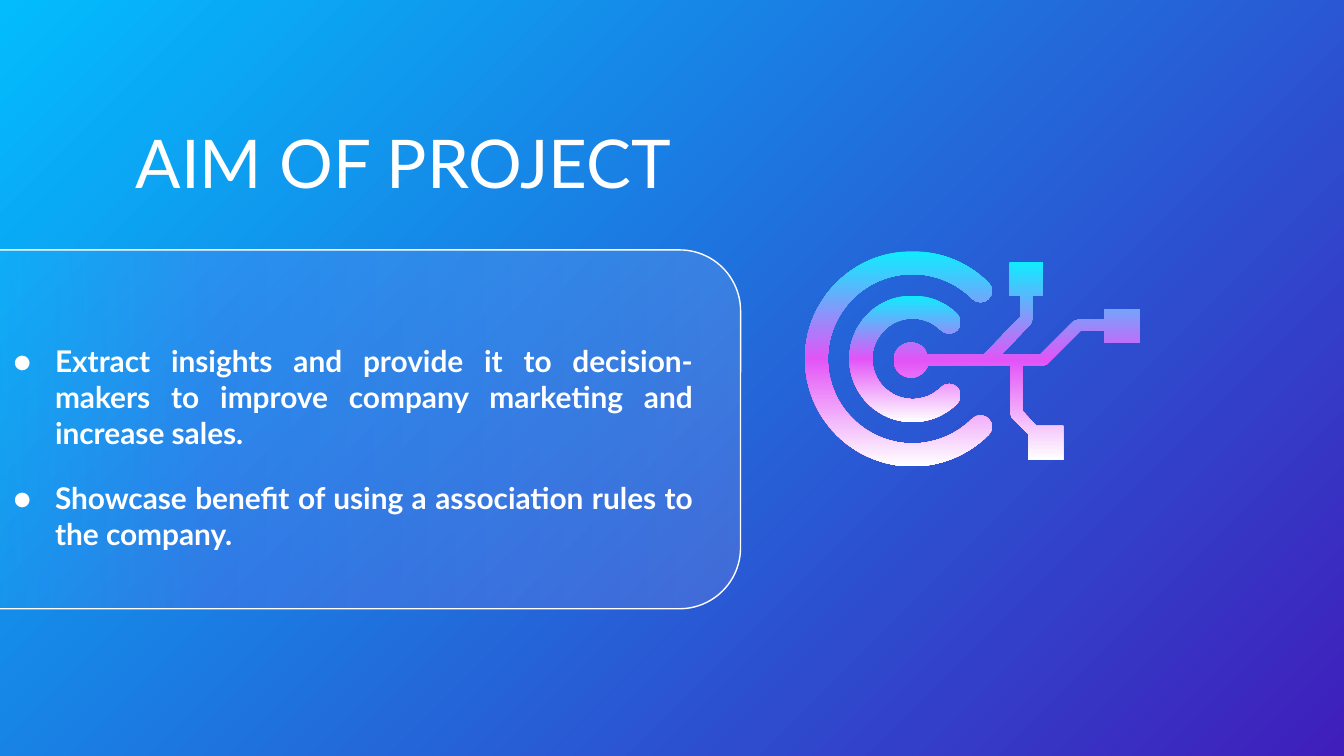
import math
from dataclasses import dataclass

import pptx
import pptx.dml.color
import pptx.enum.shapes
import pptx.enum.text
import pptx.oxml
import pptx.oxml.ns
import pptx.util

PX = 9144  # EMU per px, 100 px to the inch
FONT = "Lato"
COLORS = {"white": "FFFFFF", "pink": "E354F7", "cyan": "10ECFF",
          "indigo": "401EBB", "sky": "02BCFD"}
WHITE = pptx.dml.color.RGBColor.from_string(COLORS["white"])
ICON_STOPS = [(0, "cyan"), (50, "pink"), (100, "white")]

Point = tuple[float, float]
Segment = list[Point]  # one point for a line, three for a curve


@dataclass(frozen=True)
class Ring:
    x: int
    y: int
    outer: int
    inner: int


@dataclass(frozen=True)
class Box:
    left: int
    top: int
    width: int
    height: int

    def emu(self) -> list[int]:
        return [side * PX for side in (self.left, self.top, self.width, self.height)]


def set_all(target, values: dict) -> None:
    for name, value in values.items():
        setattr(target, name, value)


def add_gradient(fill, owner, stops, angle: int, alpha: int = 100) -> None:
    """Give the fill any number of stops, with the angle running clockwise."""
    fill.gradient()
    fill.gradient_angle = 360 - angle
    stop_list = owner.find(".//" + pptx.oxml.ns.qn("a:gsLst"))
    for old_stop in list(stop_list):
        stop_list.remove(old_stop)
    for position, color in stops:
        stop_list.append(pptx.oxml.parse_xml(
            f'<a:gs {pptx.oxml.ns.nsdecls("a")} pos="{position * 1000}">'
            f'<a:srgbClr val="{COLORS[color]}"><a:alpha val="{alpha * 1000}"/>'
            f'</a:srgbClr></a:gs>'))


def arc(x: float, y: float, radius: float, start: int, end: int) -> list[Segment]:
    """Curves from start down to end, split where the arc crosses an axis."""
    splits = [angle for angle in range(360, -720, -90) if end < angle < start]
    stops = [math.radians(angle) for angle in (start, *splits, end)]
    curves = []
    for a, b in zip(stops, stops[1:]):
        pull = 4 / 3 * math.tan((b - a) / 4)
        curves.append([(x + radius * u, y + radius * v) for u, v in (
            (math.cos(a) - pull * math.sin(a), math.sin(a) + pull * math.cos(a)),
            (math.cos(b) + pull * math.sin(b), math.sin(b) - pull * math.cos(b)),
            (math.cos(b), math.sin(b)))])
    return curves


def ring_outline(ring: Ring) -> list[Segment]:
    """An open ring with round ends and a quarter-turn gap on the right."""
    middle, cap = (ring.outer + ring.inner) / 2, (ring.outer - ring.inner) / 2
    reach = middle * math.cos(math.radians(45))
    inner = [curve for curve in arc(ring.x, ring.y, ring.inner, -45, -315)]
    # Walk the inner edge the other way round
    ends = [point for curve in inner for point in curve]
    ends.insert(0, (ring.x + ring.inner * math.cos(math.radians(45)),
                    ring.y - ring.inner * math.sin(math.radians(45))))
    ends.reverse()
    back = [ends[i:i + 3] for i in range(1, len(ends), 3)]
    return (arc(ring.x, ring.y, ring.outer, -45, -315)
            + arc(ring.x + reach, ring.y + reach, cap, 45, -135)
            + back
            + arc(ring.x + reach, ring.y - reach, cap, 135, -45))


def add_outline(icon, segments: list[Segment]) -> None:
    """Draw a closed outline that starts where its last segment ends."""
    x, y = segments[-1][-1]
    builder = icon.shapes.build_freeform(x * PX, y * PX, scale=1.0)
    builder.add_line_segments(
        [(x * PX, y * PX) for segment in segments for x, y in segment], close=True)
    part = builder.convert_to_shape()
    # Join each run of three points into one curve
    steps = iter(list(part._element.iter(pptx.oxml.ns.qn("a:lnTo"))))
    for segment in segments:
        first, *others = [next(steps) for _ in segment]
        if others:
            first.tag = pptx.oxml.ns.qn("a:cubicBezTo")
            for step in others:
                first.append(step[0])
                step.getparent().remove(step)
    part.shadow.inherit = False
    part.line.fill.background()
    add_gradient(part.fill, part._element, ICON_STOPS, 90)


def place_text(holder, box: Box):
    set_all(holder, dict(zip(("left", "top", "width", "height"), box.emu())))
    frame = holder.text_frame
    inset = 10 * PX
    set_all(frame, {"word_wrap": True,
                    "auto_size": pptx.enum.text.MSO_AUTO_SIZE.NONE,
                    "vertical_anchor": pptx.enum.text.MSO_ANCHOR.TOP,
                    "margin_left": inset, "margin_right": inset,
                    "margin_top": inset, "margin_bottom": inset})
    return frame


def format_paragraph(paragraph, size: int, bold: bool, layout: dict) -> None:
    set_all(paragraph, layout)
    set_all(paragraph.font, {"name": FONT, "size": pptx.util.Pt(size), "bold": bold})
    paragraph.font.color.rgb = WHITE


def add_bullet(paragraph, indent: int) -> None:
    properties = paragraph._p.get_or_add_pPr()
    properties.set("marL", str(indent * PX))
    properties.set("indent", str(-indent * PX))
    namespace = pptx.oxml.ns.nsdecls("a")
    for xml in (f'<a:buClr {namespace}><a:srgbClr val="{COLORS["white"]}"/></a:buClr>',
                f'<a:buFont {namespace} typeface="{FONT}"/>',
                f'<a:buChar {namespace} char="●"/>'):
        properties.append(pptx.oxml.parse_xml(xml))


AIMS = [
    "Extract insights and provide it to decision-makers to improve company "
    "marketing and increase sales.",
    "Showcase benefit of using a association rules to the company.",
]
RINGS = [Ring(679, 267, 80, 63), Ring(679, 267, 47, 30)]
# Circuit tracks around the three square ends, joined to the centre dot
TRACKS = [
    (752, 272), (752, 308), (753, 311), (765, 323), (765, 342), (791, 342),
    (791, 317), (771, 317), (761, 306), (761, 272), (776, 272), (779, 271),
    (804, 246), (822, 246), (822, 255), (848, 255), (848, 230), (822, 230),
    (822, 238), (802, 238), (799, 239), (774, 264), (745, 264), (767, 241),
    (768, 238), (768, 220), (776, 220), (776, 195), (751, 195), (751, 220),
    (759, 220), (759, 236), (732, 264), (690, 264),
]
CIRCUIT = [[corner] for corner in TRACKS] + arc(678, 268, 13, -18, -342)


def main() -> None:
    deck = pptx.Presentation()
    set_all(deck, {"slide_width": pptx.util.Inches(10),
                   "slide_height": pptx.util.Inches(5.625)})
    slide = deck.slides.add_slide(deck.slide_layouts[1])
    add_gradient(slide.background.fill, slide._element,
                 [(0, "indigo"), (100, "sky")], 225)

    # Translucent card, turned on its side
    card = slide.shapes.add_shape(pptx.enum.shapes.MSO_SHAPE.ROUNDED_RECTANGLE,
                                  *Box(119, 21, 267, 597).emu())
    card.rotation = 90
    card.adjustments[0] = 0.17
    card.shadow.inherit = False
    card.line.color.rgb = WHITE
    card.line.width = pptx.util.Pt(0.75)
    add_gradient(card.fill, card._element,
                 [(0, "white"), (66, "pink"), (100, "cyan")], 90, alpha=11)
    # The card lies behind the placeholders
    slide.shapes._spTree.insert(2, card._element)

    # Heading
    heading = place_text(slide.shapes.title, Box(91, 80, 440, 135))
    heading.text = "AIM OF PROJECT"
    format_paragraph(heading.paragraphs[0], 36, False,
                     {"alignment": pptx.enum.text.PP_ALIGN.LEFT})

    # List of aims
    aims = place_text(slide.placeholders[1], Box(0, 245, 526, 152))
    aims.text = "\n".join(AIMS)
    for aim in aims.paragraphs:
        add_bullet(aim, 31)
        format_paragraph(aim, 16, True,
                         {"alignment": pptx.enum.text.PP_ALIGN.JUSTIFY,
                          "space_before": pptx.util.Pt(0),
                          "space_after": pptx.util.Pt(16)})

    # Target icon with circuit tracks
    icon = slide.shapes.add_group_shape()
    for outline in [*map(ring_outline, RINGS), CIRCUIT]:
        add_outline(icon, outline)

    deck.save("out.pptx")


if __name__ == "__main__":
    main()
